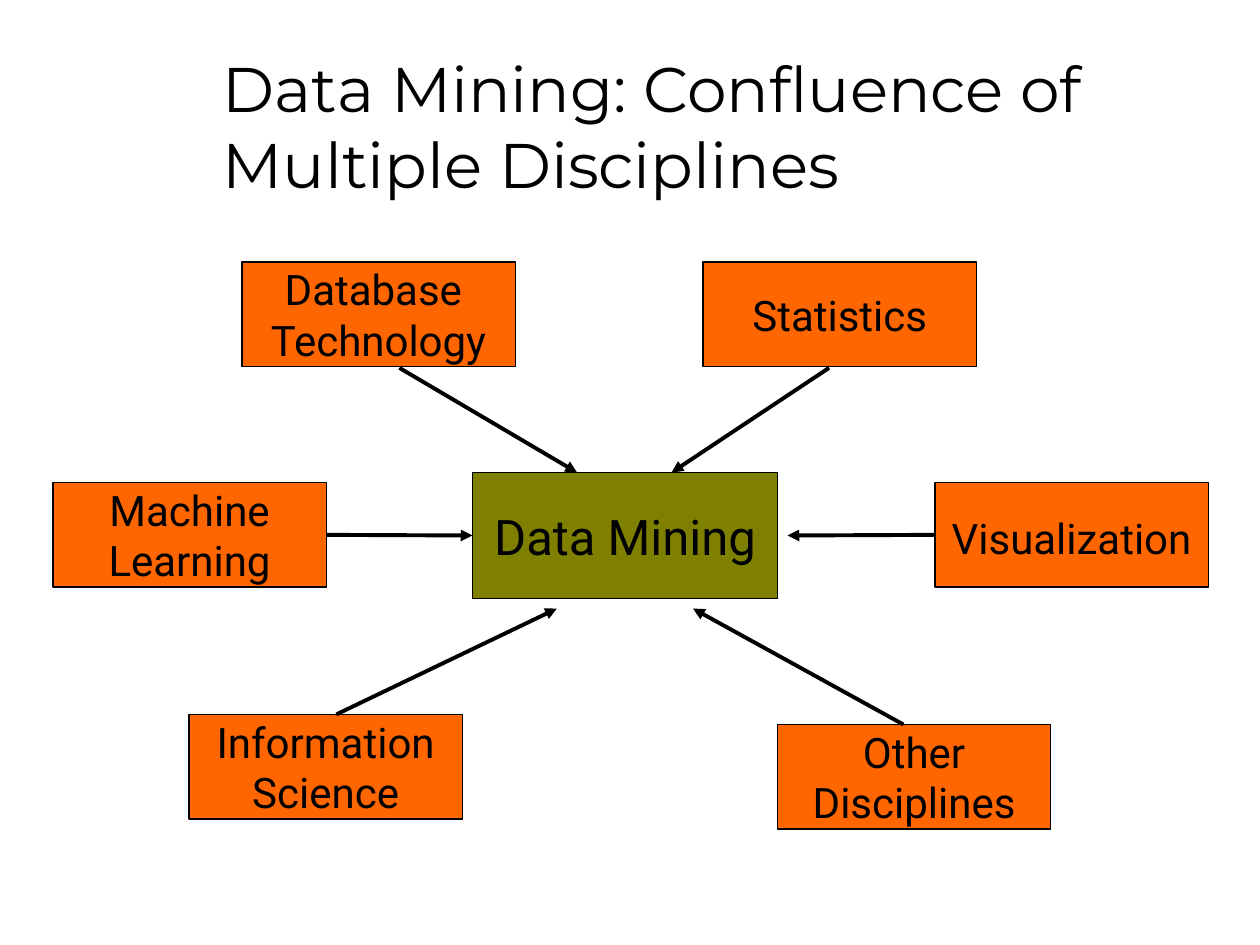
"""Build the slide showing the disciplines that flow into data mining."""
import pptx
import pptx.dml.color
import pptx.enum.shapes
import pptx.enum.text
import pptx.oxml
import pptx.oxml.ns
import pptx.util
from pptx.util import Inches

COLORS = {"ink": "000000", "core": "808000", "discipline": "FF6600"}


def rgb(name):
    return pptx.dml.color.RGBColor.from_string(COLORS[name])


def write(frame, lines, font, size, align):
    frame.vertical_anchor = pptx.enum.text.MSO_ANCHOR.MIDDLE
    for index, line in enumerate(lines):
        paragraph = frame.add_paragraph() if index else frame.paragraphs[0]
        paragraph.alignment = align
        run = paragraph.add_run()
        run.text = line
        run.font.name = font
        run.font.size = pptx.util.Pt(size)
        run.font.color.rgb = rgb("ink")


deck = pptx.Presentation()
deck.slide_width, deck.slide_height = Inches(10), Inches(7.5)
slide = deck.slides.add_slide(deck.slide_layouts[6])

title = slide.shapes.add_textbox(Inches(1.67), Inches(0.33), Inches(8.17), Inches(1.33))
title.text_frame.word_wrap = True
write(title.text_frame, ["Data Mining: Confluence of Multiple Disciplines"],
      "Montserrat", 36, pptx.enum.text.PP_ALIGN.LEFT)

CORE_SIZE, DISCIPLINE_SIZE = (2.42, 1), (2.17, 0.83)
topics = [
    (["Data Mining"], 3.75, 3.75, CORE_SIZE, "core", 28),
    (["Database ", "Technology"], 1.92, 2.08, DISCIPLINE_SIZE, "discipline", 24),
    (["Statistics"], 5.58, 2.08, DISCIPLINE_SIZE, "discipline", 24),
    (["Other", "Disciplines"], 6.17, 5.75, DISCIPLINE_SIZE, "discipline", 24),
    (["Information", "Science"], 1.5, 5.67, DISCIPLINE_SIZE, "discipline", 24),
    (["Machine", "Learning"], 0.42, 3.83, DISCIPLINE_SIZE, "discipline", 24),
    (["Visualization"], 7.42, 3.83, DISCIPLINE_SIZE, "discipline", 24),
]
boxes = {}
for lines, left, top, (width, height), color, size in topics:
    box = slide.shapes.add_shape(
        pptx.enum.shapes.MSO_SHAPE.RECTANGLE,
        Inches(left), Inches(top), Inches(width), Inches(height))
    box.shadow.inherit = False
    box.fill.solid()
    box.fill.fore_color.rgb = rgb(color)
    box.line.color.rgb = rgb("ink")
    box.line.width = pptx.util.Pt(0.75)
    box.text_frame.word_wrap = False
    write(box.text_frame, lines, "Roboto", size, pptx.enum.text.PP_ALIGN.CENTER)
    boxes[lines[0].strip()] = box

visualization = boxes["Visualization"].text_frame.paragraphs[0]
visualization.line_spacing = 1.1
visualization.space_before = pptx.util.Pt(6)

flows = [
    ((2.58, 4.25), (3.75, 4.25), ("Machine", 3), ("Data Mining", 1)),
    ((3.17, 2.92), (4.58, 3.75), None, None),
    ((6.58, 2.92), (5.33, 3.75), None, None),
    ((7.42, 4.25), (6.25, 4.25), ("Visualization", 1), None),
    ((7.17, 5.75), (5.5, 4.83), None, None),
    ((2.67, 5.67), (4.42, 4.83), None, None),
]
for start, end, source, target in flows:
    arrow = slide.shapes.add_connector(
        pptx.enum.shapes.MSO_CONNECTOR.STRAIGHT,
        *(Inches(length) for length in start + end))
    if source:
        arrow.begin_connect(boxes[source[0]], source[1])
    if target:
        arrow.end_connect(boxes[target[0]], target[1])
    arrow.line.color.rgb = rgb("ink")
    arrow.line.width = pptx.util.Pt(2.25)
    head = pptx.oxml.parse_xml(
        f'<a:tailEnd {pptx.oxml.ns.nsdecls("a")} type="triangle"/>')
    arrow.line._get_or_add_ln().append(head)
    arrow._element.spPr.append(
        pptx.oxml.parse_xml(f'<a:effectLst {pptx.oxml.ns.nsdecls("a")}/>'))

deck.save("out.pptx")
